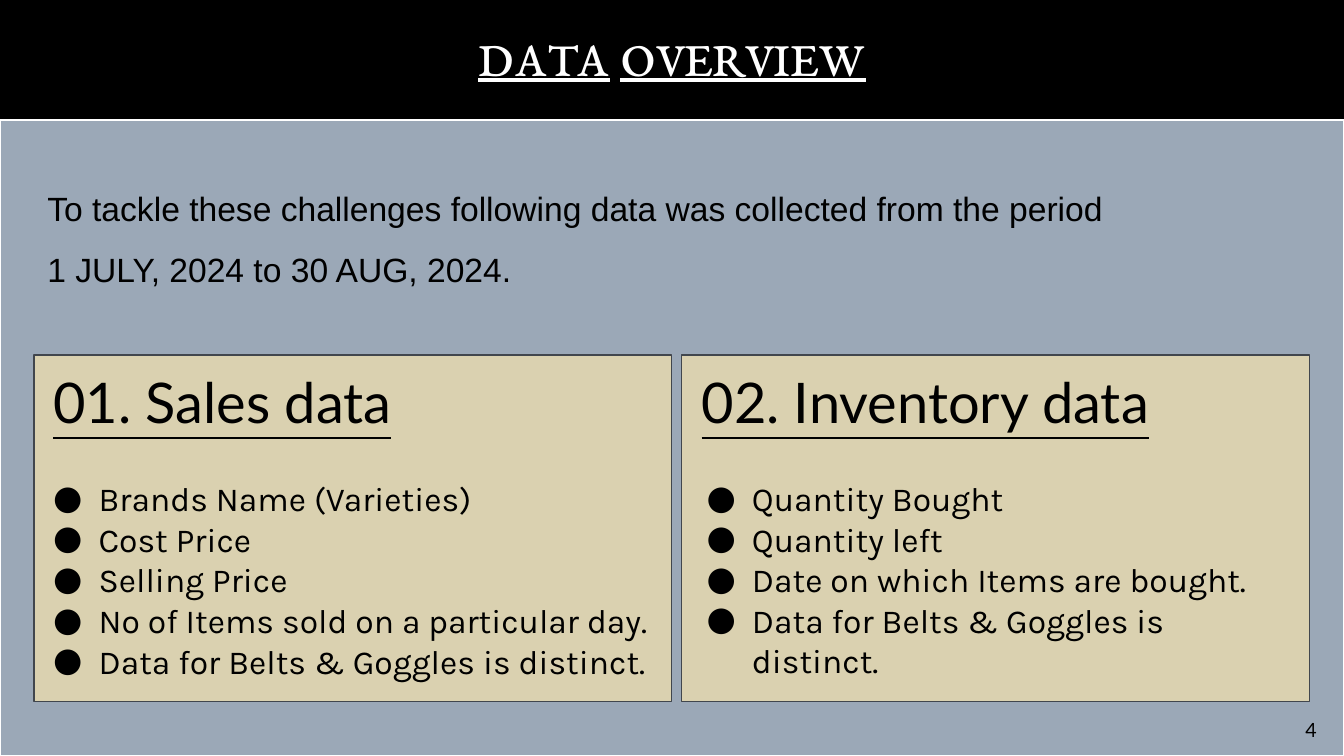
"""Build the data overview slide with two cards of collected data."""
from lxml.etree import SubElement
from pptx import Presentation
from pptx.dml.color import RGBColor
from pptx.enum.shapes import MSO_SHAPE as Shape
from pptx.enum.text import MSO_ANCHOR as Anchor, PP_ALIGN as Align
from pptx.oxml.ns import qn
from pptx.util import Inches, Pt

COLORS = {"black": "000000", "white": "FFFFFF", "slate": "9BA8B7",
          "sand": "DAD1B0", "edge": "41464D"}
TITLE = [("DATA", True), (" ", False), ("OVERVIEW", True)]
INTRO = ["To tackle these challenges following data was collected from the period",
         "1 JULY, 2024 to 30 AUG, 2024."]
CARDS = [
    {"heading": "01. Sales data", "left": 0.34, "width": 6.32,
     "heading_left": 0.43, "list_left": 0.43, "list_width": 6.2,
     "items": ["Brands Name (Varieties)", "Cost Price", "Selling Price",
               "No of Items sold on a particular day.",
               "Data for Belts & Goggles is distinct."]},
    {"heading": "02. Inventory data", "left": 6.76, "width": 6.23,
     "heading_left": 6.86, "list_left": 6.91, "list_width": 5.99,
     "items": ["Quantity Bought", "Quantity left",
               "Date on which Items are bought.",
               "Data for Belts & Goggles is distinct."]},
]
PAGE = "4"
WIDTH, HEIGHT = 13.33, 7.5
TITLE_HEIGHT = 1.19
CARD_TOP, CARD_HEIGHT = 3.52, 3.44
HEADING_TOP, HEADING_HEIGHT = 3.6, 0.77
LIST_TOP, LINE_POINTS = 4.69, 29
HANG = 0.45


def rgb(name):
    return RGBColor.from_string(COLORS[name])


def add_panel(slide, box, fill, line=None, line_width=0):
    panel = slide.shapes.add_shape(Shape.RECTANGLE, *map(Inches, box))
    panel.shadow.inherit = False
    panel.fill.solid()
    panel.fill.fore_color.rgb = rgb(fill)
    if line:
        panel.line.color.rgb = rgb(line)
        panel.line.width = Pt(line_width)
    else:
        panel.line.fill.background()
    return panel


def add_label(slide, *box):
    frame = slide.shapes.add_textbox(*map(Inches, box)).text_frame
    frame.word_wrap = True
    return frame


def next_paragraph(frame, index):
    return frame.add_paragraph() if index else frame.paragraphs[0]


def add_run(paragraph, text, font, size, color="black", underline=False):
    run = paragraph.add_run()
    run.text = text
    run.font.name = font
    run.font.size = Pt(size)
    run.font.color.rgb = rgb(color)
    run.font.underline = underline


def add_bullet(paragraph):
    properties = paragraph._p.get_or_add_pPr()
    properties.set("marL", str(Inches(HANG)))
    properties.set("indent", str(-Inches(HANG)))
    SubElement(properties, qn("a:buFont"), typeface="Karla")
    SubElement(properties, qn("a:buChar"), char="●")


def add_title(slide):
    frame = add_panel(slide, (0, 0, WIDTH, TITLE_HEIGHT), "black").text_frame
    frame.vertical_anchor = Anchor.MIDDLE
    title = frame.paragraphs[0]
    title.alignment = Align.CENTER
    title.line_spacing = 0.9
    for text, underline in TITLE:
        add_run(title, text, "EB Garamond", 36, "white", underline)


def add_intro(slide):
    box = (0, TITLE_HEIGHT, WIDTH, HEIGHT - TITLE_HEIGHT)
    frame = add_panel(slide, box, "slate", "white", 2).text_frame
    frame.vertical_anchor = Anchor.TOP
    frame.margin_left, frame.margin_top = Inches(0.47), Inches(0.67)
    for index, text in enumerate(INTRO):
        paragraph = next_paragraph(frame, index)
        paragraph.alignment = Align.LEFT
        if index:
            paragraph.space_before = Pt(15)
        add_run(paragraph, text, "Arial", 24)


def add_card(slide, card):
    box = (card["left"], CARD_TOP, card["width"], CARD_HEIGHT)
    add_panel(slide, box, "sand", "edge", 1.25)
    heading = add_label(slide, card["heading_left"], HEADING_TOP, 5.89, HEADING_HEIGHT)
    add_run(heading.paragraphs[0], card["heading"], "Lato", 40, underline=True)
    list_height = len(card["items"]) * LINE_POINTS / 72 + 0.1
    items = add_label(slide, card["list_left"], LIST_TOP, card["list_width"], list_height)
    for index, text in enumerate(card["items"]):
        paragraph = next_paragraph(items, index)
        add_bullet(paragraph)
        paragraph.line_spacing = Pt(LINE_POINTS)
        add_run(paragraph, text, "Karla", 24)


def add_page_number(slide):
    frame = add_label(slide, 12.64, 7.07, 0.6, 0.34)
    frame.margin_right = Inches(0.18)
    frame.paragraphs[0].alignment = Align.RIGHT
    add_run(frame.paragraphs[0], PAGE, "Lato", 14)


def main():
    deck = Presentation()
    deck.slide_width, deck.slide_height = Inches(WIDTH), Inches(HEIGHT)
    slide = deck.slides.add_slide(deck.slide_layouts[6])
    add_title(slide)
    add_intro(slide)
    for card in CARDS:
        add_card(slide, card)
    add_page_number(slide)
    deck.save("out.pptx")


if __name__ == "__main__":
    main()
